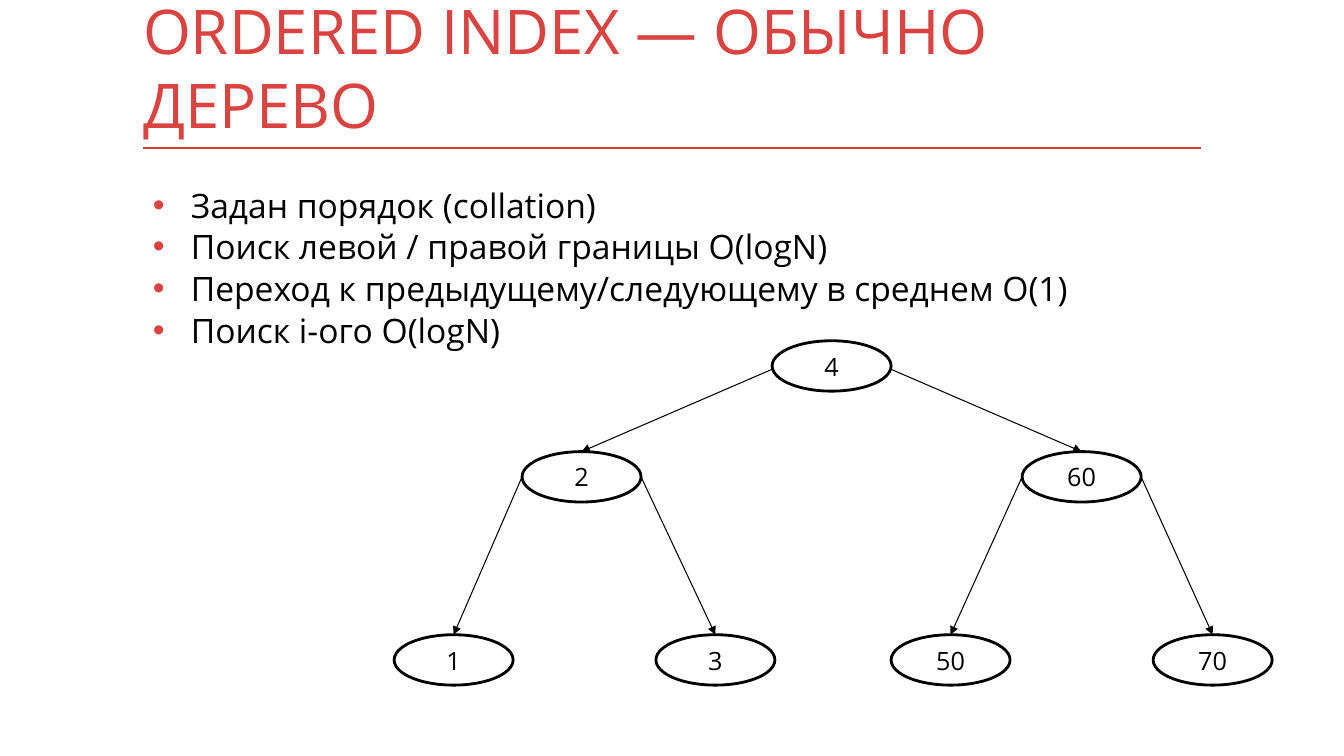
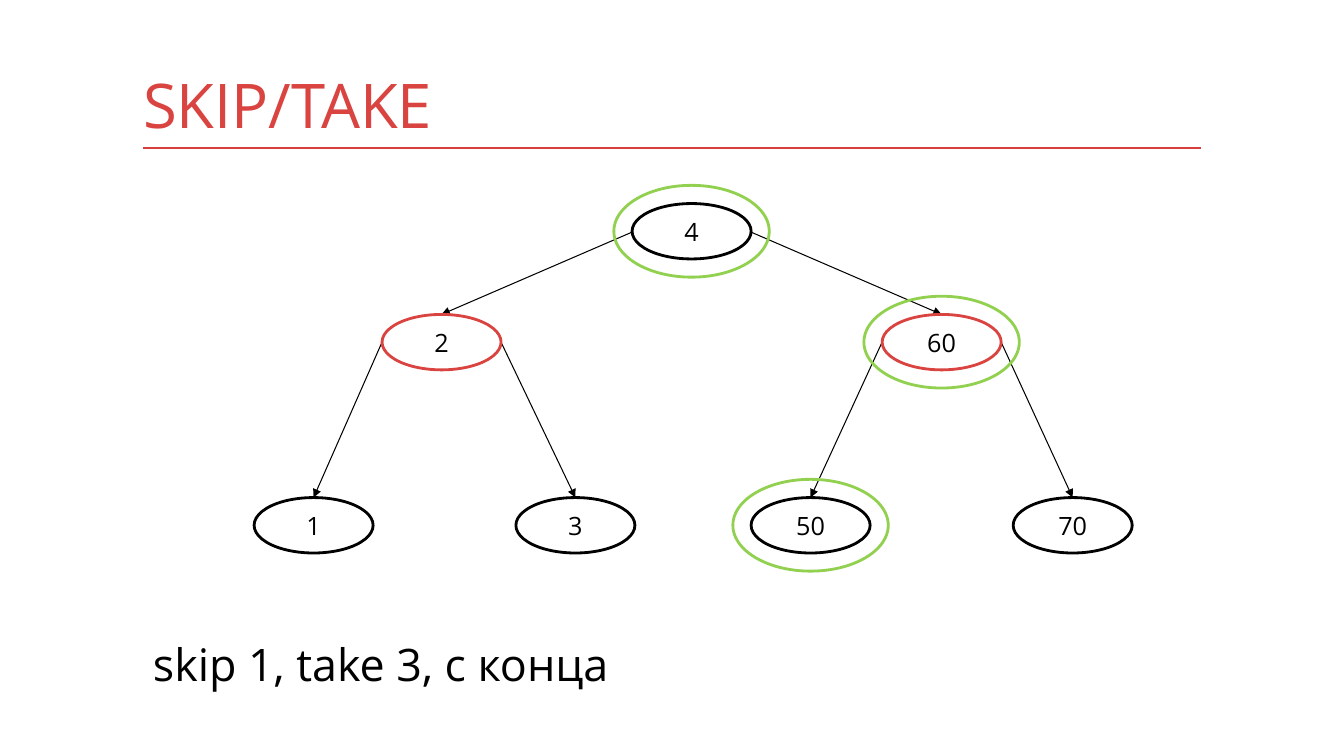
from lxml.etree import SubElement
from pptx import Presentation
from pptx.dml.color import RGBColor
from pptx.enum.shapes import MSO_CONNECTOR as Connector, MSO_SHAPE as Shape
from pptx.enum.text import MSO_ANCHOR as Anchor, PP_ALIGN as Align
from pptx.oxml.ns import qn
from pptx.util import Pt

BLACK = RGBColor(0x00, 0x00, 0x00)
WHITE = RGBColor(0xFF, 0xFF, 0xFF)
RED = RGBColor(0xD9, 0x44, 0x40)
RULE_RED = RGBColor(0xD8, 0x3F, 0x3B)
GREEN = RGBColor(0x92, 0xD0, 0x50)

FONT = "Open Sans"
LEFT, WIDTH = 102.2, 756
RULE_Y = 105.8
NODE_WIDTH = 85
ROOT_EXIT = 20.4
HALO_WIDTH, HALO_HEIGHT = 111, 65.6

NODES = {
    "4": (0, 0),
    "2": (-178.6, 79.2),
    "60": (178.6, 79.2),
    "1": (-270, 210),
    "3": (-83, 210),
    "50": (85, 210),
    "70": (272.2, 210),
}
CHILDREN = {"4": ("2", "60"), "2": ("1", "3"), "60": ("50", "70")}


class Deck:
    def __init__(self):
        self.presentation = Presentation()
        self.presentation.slide_width = Pt(960)
        self.presentation.slide_height = Pt(540)
        self.slide = None

    def add_slide(self, title):
        layout = self.presentation.slide_layouts[6]
        self.slide = self.presentation.slides.add_slide(layout)
        self.line(LEFT, RULE_Y, LEFT + WIDTH, RULE_Y, RULE_RED, 1)
        frame = self.text([title], 43.2, 62.6, 44, RED)
        frame.vertical_anchor = Anchor.BOTTOM
        frame.margin_left = frame.margin_right = 0
        frame.margin_top = frame.margin_bottom = Pt(5)

    def style(self, paragraph, size, color):
        for run in paragraph.runs:
            run.font.name = FONT
            run.font.size = Pt(size)
            run.font.color.rgb = color

    def text(self, lines, top, height, size, color=BLACK):
        box = self.slide.shapes.add_textbox(Pt(LEFT), Pt(top), Pt(WIDTH), Pt(height))
        frame = box.text_frame
        frame.word_wrap = True
        frame.text = "\n".join(lines)
        for paragraph in frame.paragraphs:
            self.style(paragraph, size, color)
        return frame

    def bullets(self, lines, top, height, size):
        for paragraph in self.text(lines, top, height, size).paragraphs:
            paragraph.space_before = Pt(1)
            properties = paragraph._p.get_or_add_pPr()
            properties.set("marL", str(Pt(27)))
            properties.set("indent", str(Pt(-27)))
            bullet_color = SubElement(properties, qn("a:buClr"))
            SubElement(bullet_color, qn("a:srgbClr"), val=str(RED))
            SubElement(properties, qn("a:buFont"), typeface="Arial")
            SubElement(properties, qn("a:buChar"), char="•")

    def line(self, x1, y1, x2, y2, color=BLACK, weight=0.75, arrow=False):
        connector = self.slide.shapes.add_connector(
            Connector.STRAIGHT, Pt(x1), Pt(y1), Pt(x2), Pt(y2))
        connector.line.color.rgb = color
        connector.line.width = Pt(weight)
        if arrow:
            SubElement(connector.line._get_or_add_ln(), qn("a:tailEnd"), type="triangle")
        SubElement(connector._element.spPr, qn("a:effectLst"))

    def ellipse(self, center_x, center_y, width, height, color):
        oval = self.slide.shapes.add_shape(
            Shape.OVAL, Pt(center_x - width / 2), Pt(center_y - height / 2),
            Pt(width), Pt(height))
        oval.shadow.inherit = False
        oval.line.color.rgb = color
        oval.line.width = Pt(2)
        return oval

    def node(self, key, center_x, center_y, height, color):
        oval = self.ellipse(center_x, center_y, NODE_WIDTH, height, color)
        oval.fill.solid()
        oval.fill.fore_color.rgb = WHITE
        frame = oval.text_frame
        frame.text = key
        frame.vertical_anchor = Anchor.MIDDLE
        frame.paragraphs[0].alignment = Align.CENTER
        self.style(frame.paragraphs[0], 18, BLACK)

    def tree(self, root_x, top, height, red=(), taken=()):
        for parent, children in CHILDREN.items():
            parent_x, parent_y = NODES[parent]
            leave = ROOT_EXIT if parent == "4" else height / 2
            for child, side in zip(children, (-1, 1)):
                child_x, child_y = NODES[child]
                self.line(root_x + parent_x + side * NODE_WIDTH / 2,
                          top + parent_y + leave,
                          root_x + child_x, top + child_y, arrow=True)
        for key, (x, y) in NODES.items():
            self.node(key, root_x + x, top + y + height / 2, height,
                      RED if key in red else BLACK)
        for key in taken:
            x, y = NODES[key]
            halo = self.ellipse(root_x + x, top + y + height / 2,
                                HALO_WIDTH, HALO_HEIGHT, GREEN)
            halo.fill.background()


deck = Deck()

deck.add_slide("ORDERED INDEX — ОБЫЧНО ДЕРЕВО")
deck.bullets([
    "Задан порядок (collation)",
    "Поиск левой / правой границы O(logN)",
    "Переход к предыдущему/следующему в среднем O(1)",
    "Поиск i-ого O(logN)",
], 128.2, 368.6, 24)
deck.tree(594, 243.4, 36)

deck.add_slide("SKIP/TAKE")
deck.tree(494, 145.4, 39.6, red=("2", "60"), taken=("50", "60", "4"))
deck.text(["skip 1, take 3, с конца"], 451.4, 44.6, 32)

deck.presentation.save("out.pptx")
